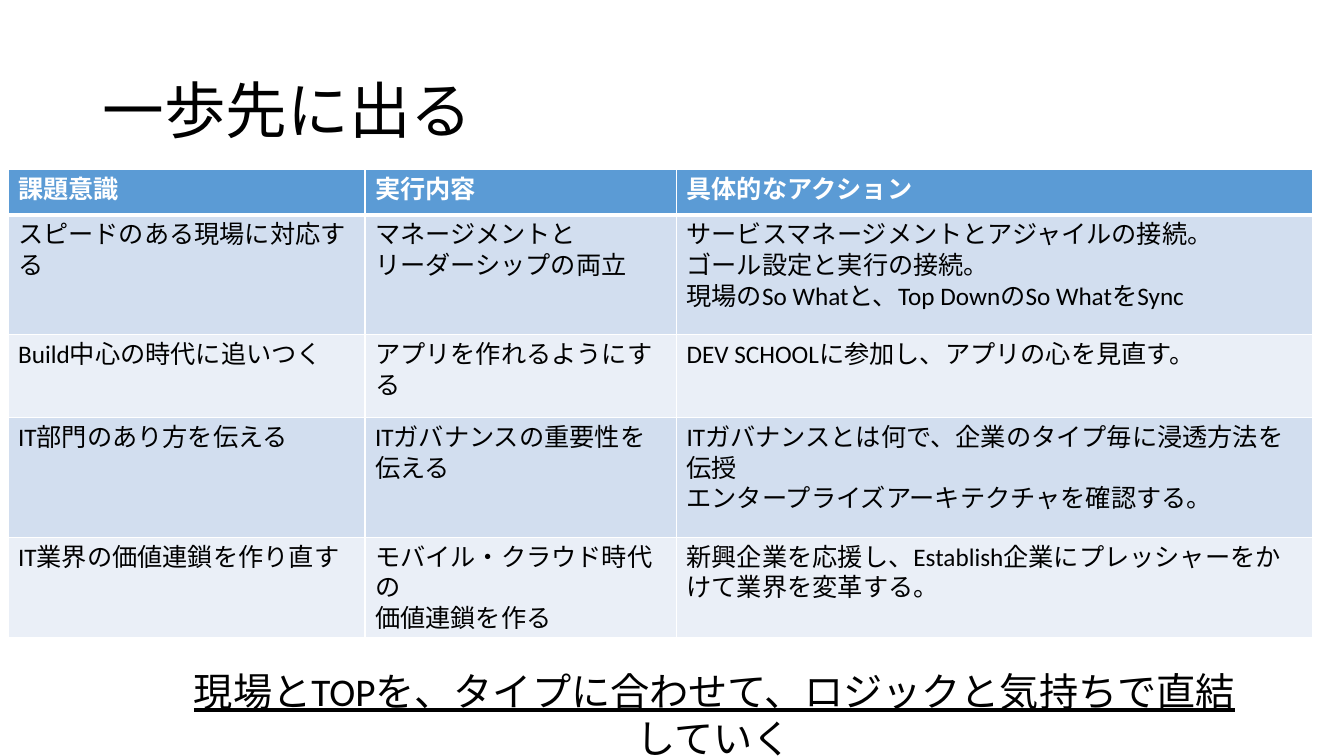
from dataclasses import dataclass

from lxml import etree
from pptx import Presentation
from pptx import util as u
from pptx.dml.color import RGBColor
from pptx.enum import lang, text
from pptx.oxml import ns

COLORS = {
    "ink": "000000",
    "white": "FFFFFF",
    "header": "5B9BD5",
    "band_dark": "D2DEEF",
    "band_light": "EAEFF7",
}
LATIN, JAPANESE = "Calibri", "Noto Sans CJK JP"


@dataclass(frozen=True)
class Style:
    size: float
    color: str = "ink"
    font: str = LATIN
    bold: bool = False
    underline: bool = False


@dataclass(frozen=True)
class Caption:
    words: str
    box: tuple[float, float, float, float]
    style: Style
    anchor: text.MSO_ANCHOR
    align: text.PP_ALIGN
    line_spacing: float


@dataclass(frozen=True)
class Initiative:
    height: float
    issue: str
    execution: str
    actions: tuple[str, ...]


CAPTIONS = [
    Caption("一歩先に出る", (0.92, 0.4, 11.5, 1.45), Style(44, font=JAPANESE),
            text.MSO_ANCHOR.MIDDLE, text.PP_ALIGN.LEFT, 0.9),
    Caption("現場とTOPを、タイプに合わせて、ロジックと気持ちで直結していく",
            (1.64, 6.57, 10.89, 0.57), Style(28, underline=True),
            text.MSO_ANCHOR.TOP, text.PP_ALIGN.CENTER, 1.0),
]
HEADINGS = Initiative(0.45, "課題意識", "実行内容", ("具体的なアクション",))
INITIATIVES = [
    Initiative(1.19, "スピードのある現場に対応する", "マネージメントと\nリーダーシップの両立",
               ("サービスマネージメントとアジャイルの接続。",
                "ゴール設定と実行の接続。",
                "現場のSo Whatと、Top DownのSo WhatをSync")),
    Initiative(0.82, "Build中心の時代に追いつく", "アプリを作れるようにする",
               ("DEV SCHOOLに参加し、アプリの心を見直す。",)),
    Initiative(1.19, "IT部門のあり方を伝える", "ITガバナンスの重要性を\n伝える",
               ("ITガバナンスとは何で、企業のタイプ毎に浸透方法を伝授",
                "エンタープライズアーキテクチャを確認する。")),
    Initiative(0.82, "IT業界の価値連鎖を作り直す", "モバイル・クラウド時代の\n価値連鎖を作る",
               ("新興企業を応援し、Establish企業にプレッシャーをかけて業界を変革する。",)),
]
COLUMN_WIDTHS = (3.54, 3.09, 6.31)


def rgb(name: str) -> RGBColor:
    return RGBColor.from_string(COLORS[name])


def write(paragraph, words: str, style: Style) -> None:
    for index, line in enumerate(words.split("\n")):
        if index:
            paragraph.add_line_break()
        run = paragraph.add_run()
        run.text = line
        font = run.font
        font.size = u.Pt(style.size)
        font.bold = style.bold
        font.underline = style.underline
        font.color.rgb = rgb(style.color)
        font.name = style.font
        font.language_id = lang.MSO_LANGUAGE_ID.JAPANESE
        east_asian = etree.SubElement(run._r.get_or_add_rPr(), ns.qn("a:ea"))
        east_asian.set("typeface", style.font)


def add_caption(slide, caption: Caption) -> None:
    frame = slide.shapes.add_textbox(*map(u.Inches, caption.box)).text_frame
    frame.word_wrap = True
    frame.vertical_anchor = caption.anchor
    paragraph = frame.paragraphs[0]
    paragraph.alignment = caption.align
    paragraph.line_spacing = caption.line_spacing
    write(paragraph, caption.words, caption.style)


def set_borders(cell, top: float, bottom: float) -> None:
    properties = cell._tc.get_or_add_tcPr()
    widths = {"lnL": 1, "lnR": 1, "lnT": top, "lnB": bottom}
    for index, (side, width) in enumerate(widths.items()):
        border = etree.Element(ns.qn(f"a:{side}"), w=str(u.Pt(width)))
        fill = etree.SubElement(border, ns.qn("a:solidFill"))
        etree.SubElement(fill, ns.qn("a:srgbClr"), val=COLORS["white"])
        properties.insert(index, border)


def fill_cell(cell, paragraphs: tuple[str, ...], style: Style, fill: str) -> None:
    cell.fill.solid()
    cell.fill.fore_color.rgb = rgb(fill)
    frame = cell.text_frame
    for index, words in enumerate(paragraphs):
        paragraph = frame.add_paragraph() if index else frame.paragraphs[0]
        write(paragraph, words, style)


def add_initiatives(slide) -> None:
    entries = [HEADINGS, *INITIATIVES]
    height = sum(entry.height for entry in entries)
    table = slide.shapes.add_table(
        len(entries), len(COLUMN_WIDTHS), u.Inches(0.08), u.Inches(1.68),
        u.Inches(sum(COLUMN_WIDTHS)), u.Inches(height)).table
    for column, width in zip(table.columns, COLUMN_WIDTHS):
        column.width = u.Inches(width)
    for index, (row, entry) in enumerate(zip(table.rows, entries)):
        row.height = u.Inches(entry.height)
        if index == 0:
            style, fill = Style(18, "white", bold=True), "header"
        else:
            style, fill = Style(18), "band_dark" if index % 2 else "band_light"
        contents = ((entry.issue,), (entry.execution,), entry.actions)
        for cell, paragraphs in zip(row.cells, contents):
            fill_cell(cell, paragraphs, style, fill)
            set_borders(cell, top=3 if index == 1 else 1,
                        bottom=3 if index == 0 else 1)


def main() -> None:
    deck = Presentation()
    deck.slide_width, deck.slide_height = u.Inches(13.33), u.Inches(7.5)
    slide = deck.slides.add_slide(deck.slide_layouts[6])

    # Title and closing message
    for caption in CAPTIONS:
        add_caption(slide, caption)

    # Table of issues, execution and actions
    add_initiatives(slide)

    deck.save("out.pptx")


if __name__ == "__main__":
    main()
